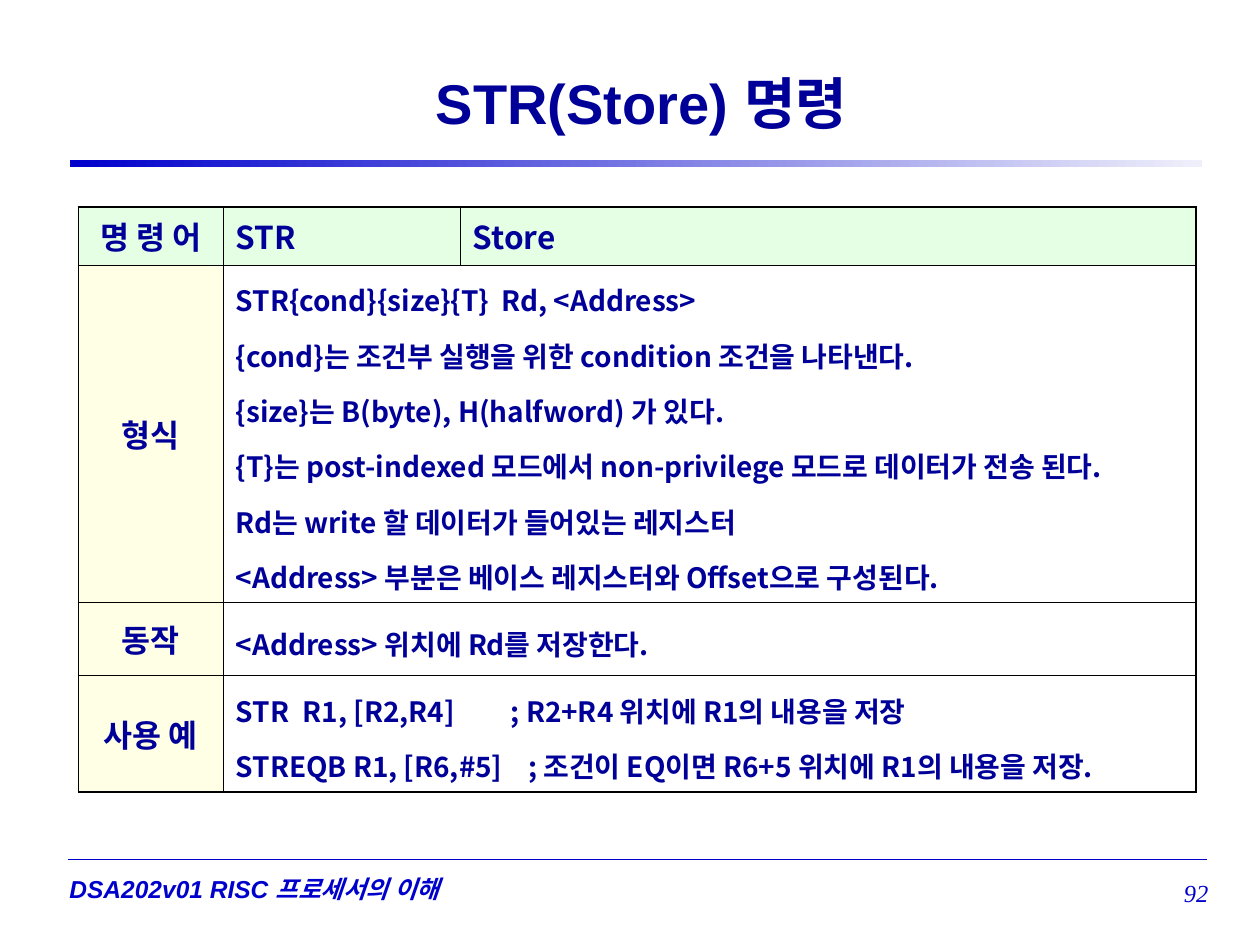
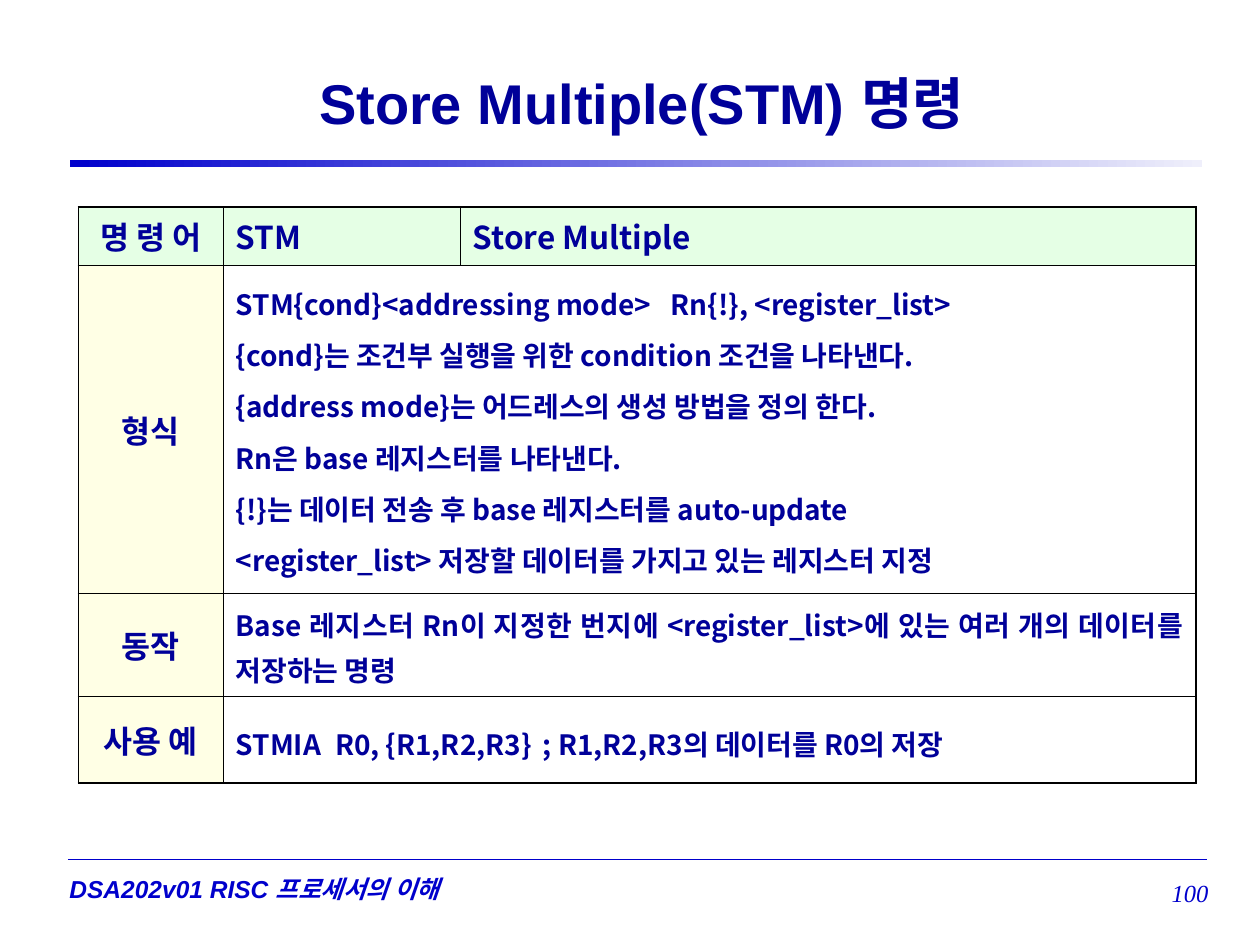
"""Build two slides that describe the STR and STM store instructions."""
from lxml import etree
from pptx import Presentation
from pptx.dml import color
from pptx.enum import shapes, text
from pptx.oxml import ns
from pptx.util import Cm, Pt

NAVY, BLUE, PALE = "000099", "0000CC", "EFEFFB"
GREEN, CREAM, BLACK = "CCFFCC", "FFFFCC", "000000"
SANS, SERIF, CJK = "Arial", "Times New Roman", "Noto Sans CJK KR"
LEFT, MID, RIGHT, JUST = (text.PP_ALIGN.LEFT, text.PP_ALIGN.CENTER,
                          text.PP_ALIGN.RIGHT, text.PP_ALIGN.JUSTIFY)
COLS = [2.92, 4.78, 14.83]
LABELS = ["명 령 어", "형식", "동작", "사용 예"]
THICK, THIN = 1.08, 0.45


def hue(code):
    return color.RGBColor.from_string(code)


def write(frame, lines, size, face, tint, align=LEFT, bold=True, slant=False, lead=1.0):
    """Fill a frame; a line is (text, tab stops in cm)."""
    frame.word_wrap = True
    frame.vertical_anchor = text.MSO_ANCHOR.MIDDLE
    for n, (words, stops) in enumerate(lines):
        para = frame.add_paragraph() if n else frame.paragraphs[0]
        if stops:
            tabs = etree.SubElement(para._p.get_or_add_pPr(), ns.qn("a:tabLst"))
            for stop in stops:
                etree.SubElement(tabs, ns.qn("a:tab"), pos=str(Cm(stop)), algn="l")
        para.alignment = align
        para.line_spacing = lead
        if n:
            para.space_before = Pt(4)
        run = para.add_run()
        run.text = words
        font = run.font
        font.size, font.name, font.bold, font.italic = Pt(size), face, bold, slant
        font.color.rgb = hue(tint)
        etree.SubElement(run._r.get_or_add_rPr(), ns.qn("a:ea"), typeface=CJK)


PAGES = [
    {
        "title": "STR(Store) 명령", "page": "92",
        "head": ["STR", "Store"],
        "rows": [1.17, 6.81, 1.47, 2.35],
        "leads": [1.2, 1.2, 1.2],
        "body": [
            [("STR{cond}{size}{T}\tRd, <Address>", [5.36]),
             ("{cond}는 조건부 실행을 위한 condition 조건을 나타낸다.", []),
             ("{size}는 B(byte), H(halfword) 가 있다.", []),
             ("{T}는 post-indexed 모드에서 non-privilege 모드로 데이터가 전송 된다.", []),
             ("Rd는 write 할 데이터가 들어있는 레지스터", []),
             ("<Address> 부분은 베이스 레지스터와 Offset으로 구성된다.", [])],
            [("<Address> 위치에 Rd를 저장한다.", [])],
            [("STR\tR1, [R2,R4]\t; R2+R4 위치에 R1의 내용을 저장", [1.35, 5.54]),
             ("STREQB R1, [R6,#5]\t; 조건이 EQ이면 R6+5 위치에 R1의 내용을 저장.", [5.89])],
        ],
    },
    {
        "title": "Store Multiple(STM) 명령", "page": "100",
        "head": ["STM", "Store Multiple"],
        "rows": [1.17, 6.63, 2.06, 1.75],
        "leads": [1.1, 1.1, 1.2],
        "body": [
            [("STM{cond}<addressing mode>\tRn{!}, <register_list>", [8.77]),
             ("{cond}는 조건부 실행을 위한 condition 조건을 나타낸다.", []),
             ("{address mode}는 어드레스의 생성 방법을 정의 한다.", []),
             ("Rn은 base 레지스터를 나타낸다.", []),
             ("{!}는 데이터 전송 후 base 레지스터를 auto-update", []),
             ("<register_list> 저장할 데이터를 가지고 있는 레지스터 지정", [])],
            [("Base 레지스터 Rn이 지정한 번지에 <register_list>에 있는 여러 개의 "
              "데이터를 저장하는 명령", [])],
            [("STMIA\tR0, {R1,R2,R3}\t; R1,R2,R3의 데이터를 R0의 저장", [2.0, 6.19])],
        ],
    },
]

deck = Presentation()
deck.slide_width, deck.slide_height = Cm(25.4), Cm(19.05)

for page in PAGES:
    slide = deck.slides.add_slide(deck.slide_layouts[6])

    band = slide.shapes.add_shape(shapes.MSO_SHAPE.RECTANGLE,
                                  Cm(1.42), Cm(3.23), Cm(22.81), Cm(0.13))
    band.shadow.inherit = False
    band.line.fill.background()
    band.fill.gradient()
    band.fill.gradient_angle = 180
    for stop, code, place in zip(band.fill.gradient_stops, [PALE, BLUE], [0, 1]):
        stop.color.rgb = hue(code)
        stop.position = place

    rule = slide.shapes.add_connector(shapes.MSO_CONNECTOR.STRAIGHT,
                                      Cm(1.37), Cm(17.32), Cm(24.33), Cm(17.32))
    rule.line.color.rgb = hue(BLUE)
    rule.line.width = Pt(0.75)
    etree.SubElement(rule._element.spPr, ns.qn("a:effectLst"))

    for spot, pad, words, size, face, tint, align, bold, slant in [
        ((1.35, 17.48, 9.83, 0.86), 0.05, "DSA202v01 RISC 프로세서의 이해",
         14, SANS, BLUE, LEFT, True, True),
        ((2.24, 0.79, 21.39, 2.54), 0.25, page["title"],
         32, SANS, NAVY, MID, True, False),
        ((22.02, 17.37, 2.34, 1.27), 0, page["page"],
         14, SERIF, BLUE, RIGHT, False, True),
    ]:
        frame = slide.shapes.add_textbox(*map(Cm, spot)).text_frame
        frame.margin_left = frame.margin_right = Cm(pad)
        write(frame, [(words, [])], size, face, tint, align, bold, slant)

    rows = page["rows"]
    last, end = len(rows) - 1, len(COLS) - 1
    grid = slide.shapes.add_table(len(rows), len(COLS), Cm(1.58), Cm(4.17),
                                  Cm(sum(COLS)), Cm(sum(rows))).table
    grid.first_row = grid.horz_banding = False
    for col, wide in zip(grid.columns, COLS):
        col.width = Cm(wide)
    for row, high in zip(grid.rows, rows):
        row.height = Cm(high)

    for r in range(len(rows)):
        for c in range(len(COLS)):
            cell = grid.cell(r, c)
            cell.margin_top = cell.margin_bottom = Cm(0.13)
            cell.vertical_anchor = text.MSO_ANCHOR.MIDDLE
            prop = cell._tc.get_or_add_tcPr()
            for side, edge in [("lnL", c == 0), ("lnR", c == end or r and c),
                               ("lnT", r == 0), ("lnB", r == last)]:
                line = etree.SubElement(prop, ns.qn("a:" + side),
                                        w=str(Pt(THICK if edge else THIN)))
                fill = etree.SubElement(line, ns.qn("a:solidFill"))
                etree.SubElement(fill, ns.qn("a:srgbClr"), val=BLACK)
            if r and c:
                cell.fill.background()
                continue
            cell.fill.solid()
            cell.fill.fore_color.rgb = hue(CREAM if r else GREEN)
            shade = prop.find(ns.qn("a:solidFill")).find(ns.qn("a:srgbClr"))
            etree.SubElement(shade, ns.qn("a:alpha"), val="50000")

    for r, label in enumerate(LABELS):
        write(grid.cell(r, 0).text_frame, [(label, [])], 18, SANS, NAVY, MID)
    for c, words in enumerate(page["head"], 1):
        write(grid.cell(0, c).text_frame, [(words, [])], 18, CJK, NAVY)
    for r, (lines, lead) in enumerate(zip(page["body"], page["leads"]), 1):
        grid.cell(r, 1).merge(grid.cell(r, end))
        write(grid.cell(r, 1).text_frame, lines, 16, CJK, NAVY, JUST, lead=lead)

deck.save("out.pptx")
